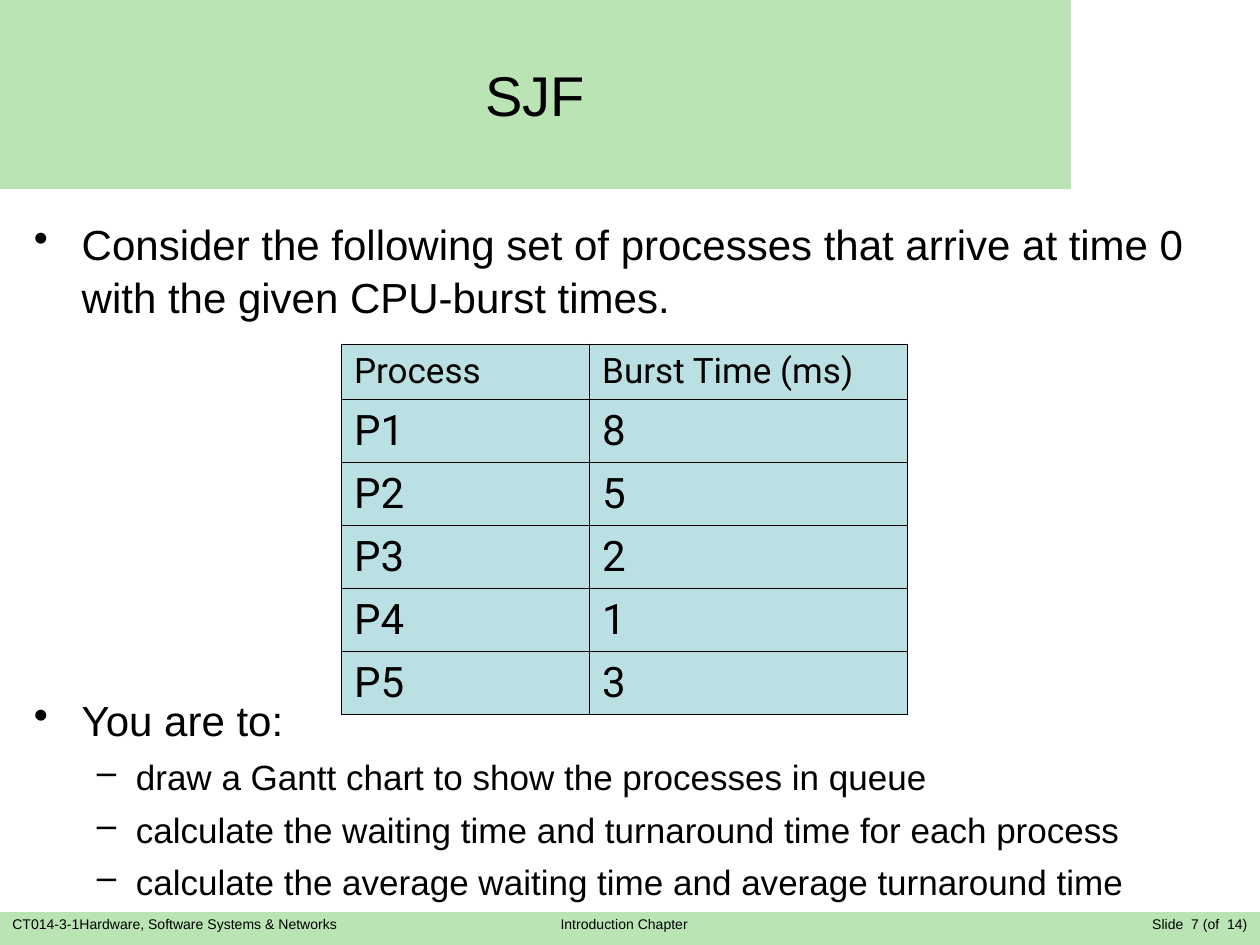
"""Build the SJF scheduling exercise slide."""
from lxml import etree
from pptx import Presentation
from pptx.dml.color import RGBColor
from pptx.enum.shapes import MSO_SHAPE
from pptx.enum.text import MSO_ANCHOR, PP_ALIGN
from pptx.oxml.ns import qn
from pptx.util import Inches, Pt

RECT = MSO_SHAPE.RECTANGLE
MIDDLE = MSO_ANCHOR.MIDDLE
LEFT, CENTER, RIGHT = PP_ALIGN.LEFT, PP_ALIGN.CENTER, PP_ALIGN.RIGHT
GREEN = RGBColor(0xBA, 0xE4, 0xB4)
TEAL = RGBColor(0xBB, 0xE0, 0xE3)
BLACK = RGBColor(0, 0, 0)

TITLE = "SJF"
INTRO = [(0, "Consider the following set of processes that arrive at time 0 "
             "with the given CPU-burst times.")]
TASKS = [
    (0, "You are to:"),
    (1, "draw a Gantt chart to show the processes in queue"),
    (1, "calculate the waiting time and turnaround time for each process"),
    (1, "calculate the average waiting time and average turnaround time"),
]
LEVELS = [
    {"mark": "•", "size": 24, "left": 0.38, "hang": 0.38, "gap": 6},
    {"mark": "–", "size": 20, "left": 0.81, "hang": 0.31, "gap": 5},
]
BURSTS = [
    ("Process", "Burst Time (ms)"),
    ("P1", "8"),
    ("P2", "5"),
    ("P3", "2"),
    ("P4", "1"),
    ("P5", "3"),
]
COLS = (1.97, 2.52)
HEAD, ROW = 0.44, 0.49
FOOTER = [
    ("CT014-3-1Hardware, Software Systems & Networks", 0, 2.97, LEFT),
    ("Introduction Chapter", 3.47, 2.97, CENTER),
    ("Slide  7 (of  14)", 8.96, 1.04, RIGHT),
]


def style(para, size, face="Arial", align=LEFT):
    para.alignment = align
    font = para.font
    font.size, font.name = Pt(size), face
    font.color.rgb = BLACK


def add_band(slide, *area):
    band = slide.shapes.add_shape(RECT, *map(Inches, area))
    band.shadow.inherit = False
    band.fill.solid()
    band.fill.fore_color.rgb = GREEN
    band.line.fill.background()
    return band


def add_box(slide, *area):
    frame = slide.shapes.add_textbox(*map(Inches, area)).text_frame
    frame.word_wrap = True
    return frame


def add_list(slide, items, top, height):
    frame = add_box(slide, 0.17, top, 9.58, height)
    for i, (depth, text) in enumerate(items):
        para = frame.add_paragraph() if i else frame.paragraphs[0]
        rule = LEVELS[depth]
        para.text, para.level = text, depth
        para.line_spacing = 1.04
        if i:
            para.space_before = Pt(rule["gap"])
        props = para._p.get_or_add_pPr()
        props.set("marL", str(Inches(rule["left"])))
        props.set("indent", str(-Inches(rule["hang"])))
        etree.SubElement(props, qn("a:buChar"), char=rule["mark"])
        style(para, rule["size"])


def add_edges(cell):
    props = cell._tc.get_or_add_tcPr()
    for i, side in enumerate(("lnL", "lnR", "lnT", "lnB")):
        line = etree.Element(qn("a:" + side), w=str(Pt(0.45)))
        fill = etree.SubElement(line, qn("a:solidFill"))
        etree.SubElement(fill, qn("a:srgbClr"), val=str(BLACK))
        props.insert(i, line)


def add_bursts(slide):
    heights = [HEAD] + [ROW] * (len(BURSTS) - 1)
    area = (2.71, 2.73, sum(COLS), sum(heights))
    table = slide.shapes.add_table(
        len(BURSTS), len(COLS), *map(Inches, area)).table
    table.first_row = table.horz_banding = False
    for col, width in zip(table.columns, COLS):
        col.width = Inches(width)
    for r, texts in enumerate(BURSTS):
        table.rows[r].height = Inches(heights[r])
        for c, text in enumerate(texts):
            cell = table.cell(r, c)
            cell.text = text
            cell.vertical_anchor = MIDDLE
            cell.fill.solid()
            cell.fill.fore_color.rgb = TEAL
            style(cell.text_frame.paragraphs[0], 24 if r else 20, "Roboto")
            add_edges(cell)


def main():
    deck = Presentation()
    deck.slide_width, deck.slide_height = Inches(10), Inches(7.5)
    slide = deck.slides.add_slide(deck.slide_layouts[6])
    add_band(slide, 0, 7.24, 10, 0.26)
    for text, left, width, align in FOOTER:
        para = add_box(slide, left, 7.22, width, 0.28).paragraphs[0]
        para.text = text
        style(para, 8, align=align)
    frame = add_band(slide, 0, 0, 8.5, 1.5).text_frame
    frame.text, frame.vertical_anchor = TITLE, MIDDLE
    style(frame.paragraphs[0], 32, align=CENTER)
    add_list(slide, INTRO, 1.67, 0.95)
    add_list(slide, TASKS, 5.45, 1.7)
    add_bursts(slide)
    deck.save("out.pptx")


if __name__ == "__main__":
    main()
